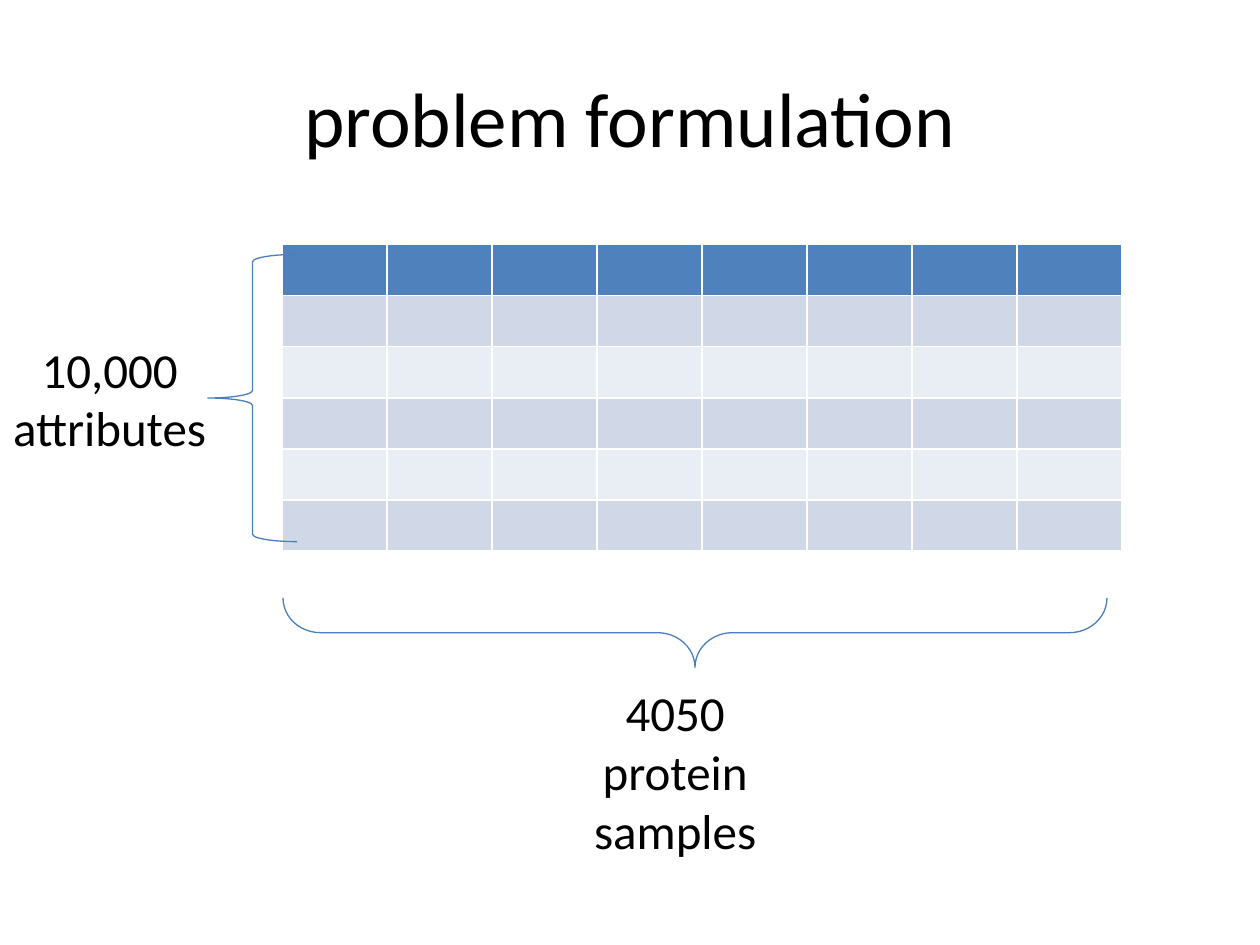
from dataclasses import dataclass

from lxml import etree
from pptx import Presentation
from pptx.dml.color import RGBColor
from pptx.enum.shapes import MSO_SHAPE
from pptx.enum.text import MSO_ANCHOR, PP_ALIGN
from pptx.oxml.ns import qn
from pptx.util import Cm, Pt

LEFT_BRACE, RIGHT_BRACE = MSO_SHAPE.LEFT_BRACE, MSO_SHAPE.RIGHT_BRACE
CENTER, MIDDLE = PP_ALIGN.CENTER, MSO_ANCHOR.MIDDLE
TITLE_ONLY = 5


@dataclass(frozen=True)
class Theme:
    font: str = "Calibri"
    title_size: int = 44
    label_size: int = 28
    text: str = "000000"
    header: str = "4F81BD"
    bands: tuple = ("D0D8E8", "E9EDF4")
    grid: str = "FFFFFF"
    grid_width: float = 1
    brace: str = "4B7EBC"
    brace_width: float = 0.75


class SlideBuilder:
    def __init__(self, page, theme):
        self.page = page
        self.theme = theme

    def set_text(self, frame, text, size):
        frame.word_wrap = True
        frame.text = text
        para = frame.paragraphs[0]
        para.alignment = CENTER
        para.font.name = self.theme.font
        para.font.size = Pt(size)
        para.font.color.rgb = RGBColor.from_string(self.theme.text)

    def title(self, text, left, top, width, height):
        box = self.page.shapes.title
        box.left, box.top, box.width, box.height = map(Cm, (left, top, width, height))
        box.text_frame.vertical_anchor = MIDDLE
        self.set_text(box.text_frame, text, self.theme.title_size)

    def label(self, text, left, top, width, height):
        box = self.page.shapes.add_textbox(*map(Cm, (left, top, width, height)))
        self.set_text(box.text_frame, text, self.theme.label_size)

    def brace(self, kind, left, top, width, height, rotation=0, curl=None):
        brace = self.page.shapes.add_shape(kind, *map(Cm, (left, top, width, height)))
        brace.rotation = rotation
        brace.shadow.inherit = False
        brace.fill.background()
        brace.line.color.rgb = RGBColor.from_string(self.theme.brace)
        brace.line.width = Pt(self.theme.brace_width)
        if curl is not None:
            brace.adjustments[0] = curl

    def cell_borders(self, cell):
        properties = cell._tc.get_or_add_tcPr()
        for side in ("a:lnL", "a:lnR", "a:lnT", "a:lnB"):
            line = etree.SubElement(properties, qn(side), w=str(Pt(self.theme.grid_width)))
            fill = etree.SubElement(line, qn("a:solidFill"))
            etree.SubElement(fill, qn("a:srgbClr"), val=self.theme.grid)

    def empty_matrix(self, rows, columns, left, top, width, height):
        frame = self.page.shapes.add_table(rows, columns, *map(Cm, (left, top, width, height)))
        for row_index, row in enumerate(frame.table.rows):
            color = self.theme.bands[(row_index - 1) % 2] if row_index else self.theme.header
            for cell in row.cells:
                self.cell_borders(cell)
                cell.fill.solid()
                cell.fill.fore_color.rgb = RGBColor.from_string(color)


def main():
    deck = Presentation()
    deck.slide_width, deck.slide_height = Cm(25.4), Cm(19.05)
    page = deck.slides.add_slide(deck.slide_layouts[TITLE_ONLY])
    builder = SlideBuilder(page, Theme())

    # Title
    builder.title("problem formulation", 1.27, 0.76, 22.86, 3.18)

    # Data matrix
    builder.empty_matrix(6, 8, 5.69, 4.93, 16.93, 6.18)

    # Braces for the columns and the rows
    builder.brace(RIGHT_BRACE, 13.31, 4.45, 1.4, 16.61, rotation=90, curl=0.54)
    builder.brace(LEFT_BRACE, 4.19, 5.13, 1.8, 5.79)

    # Dimension labels
    builder.label("10,000 attributes", -0.38, 6.71, 5.18, 2.64)
    builder.label("4050 protein samples", 11.02, 13.64, 5.18, 3.84)

    deck.save("out.pptx")


if __name__ == "__main__":
    main()
